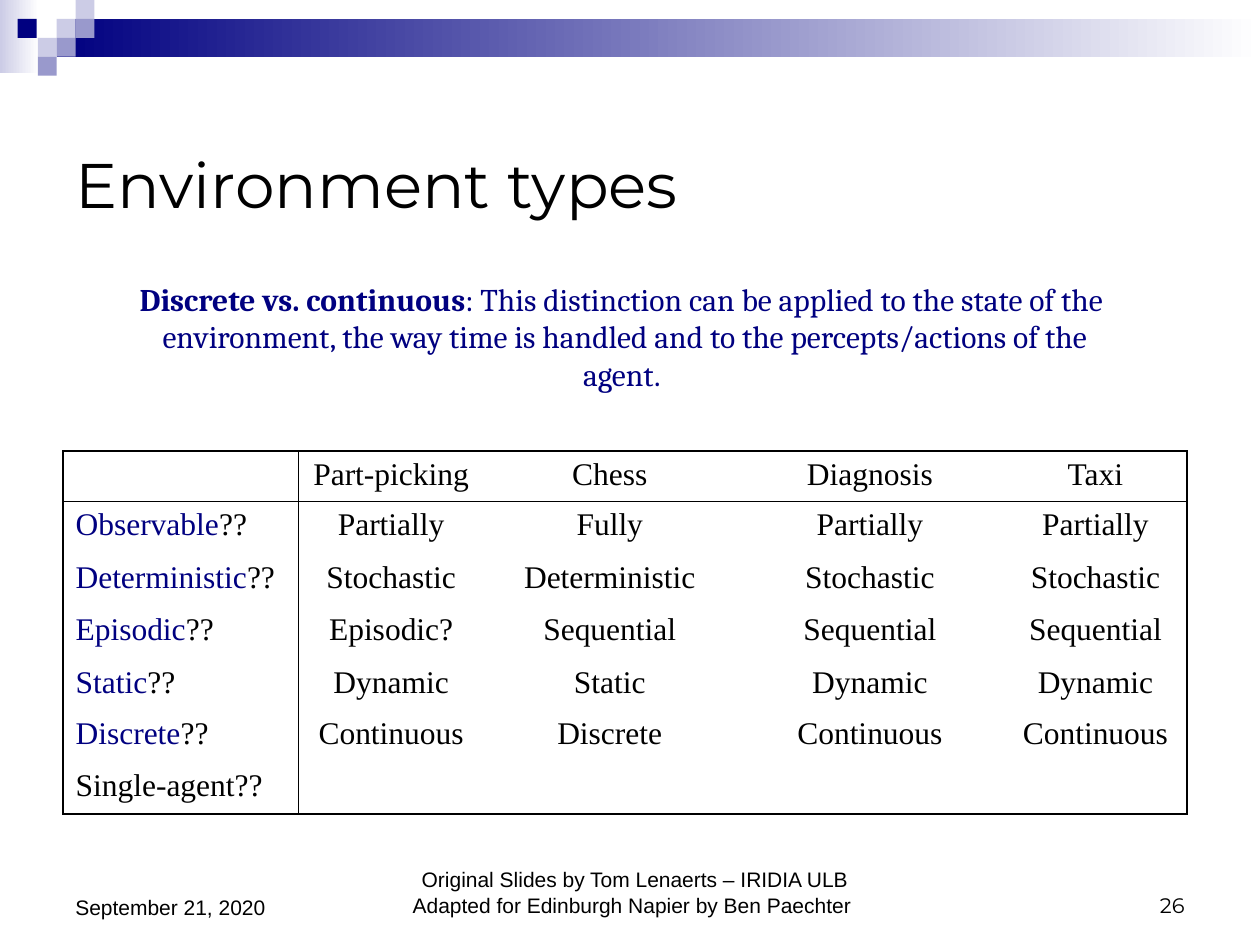
from lxml import etree
from pptx import Presentation
from pptx.dml.color import RGBColor
from pptx.enum import shapes, text
from pptx.oxml.ns import qn
from pptx.util import Inches, Pt

HUES = {"ink": "000000", "navy": "000080", "mid": "9999CC",
        "pale": "CCCCE6", "white": "FFFFFF"}
LEFT, MID, RIGHT = text.PP_ALIGN.LEFT, text.PP_ALIGN.CENTER, text.PP_ALIGN.RIGHT


def style(para, face, size, hue="ink", align=LEFT):
    """Set the font and alignment of a paragraph."""
    para.alignment = align
    para.font.name, para.font.size = face, Pt(size)
    para.font.color.rgb = RGBColor.from_string(HUES[hue])


def edge(cell, side, drawn):
    """Draw or clear one border of a table cell."""
    line = etree.SubElement(cell._tc.get_or_add_tcPr(), qn("a:" + side))
    line.set("w", str(Pt(1)))
    if drawn:
        fill = etree.SubElement(line, qn("a:solidFill"))
        etree.SubElement(fill, qn("a:srgbClr")).set("val", HUES["ink"])
    else:
        etree.SubElement(line, qn("a:noFill"))


prs = Presentation()
prs.slide_width, prs.slide_height = Inches(10), Inches(7.5)
slide = prs.slides.add_slide(prs.slide_layouts[5])

# Header band and squares: box, start colour, end colour of a gradient
side = 0.15
blocks = [((0, 0, 0.31, 0.58), "pale", "white"),
          ((0.45, 0.15, 9.55, 0.3), "navy", "white")]
for x, y, hue in [(0.45, 0.15, "pale"), (0.6, 0, "pale"), (0.6, 0.15, "mid"),
                  (0.3, 0.3, "pale"), (0.14, 0.15, "navy"),
                  (0.45, 0.3, "mid"), (0.3, 0.45, "mid")]:
    blocks.append(((x, y, side, side), hue, None))
for box, hue, end in blocks:
    block = slide.shapes.add_shape(shapes.MSO_SHAPE.RECTANGLE, *map(Inches, box))
    block.shadow.inherit = False
    block.line.fill.background()
    if end:
        block.fill.gradient()
        block.fill.gradient_angle = 0
        for stop, name, spot in zip(block.fill.gradient_stops, (hue, end), (0, 1)):
            stop.color.rgb = RGBColor.from_string(HUES[name])
            stop.position = spot
    else:
        block.fill.solid()
        block.fill.fore_color.rgb = RGBColor.from_string(HUES[hue])

# Title
title = slide.shapes.title
title.left, title.top, title.width, title.height = map(Inches, (0.5, 0.83, 9, 1.25))
title.text_frame.text = "Environment types"
title.text_frame.vertical_anchor = text.MSO_ANCHOR.MIDDLE
style(title.text_frame.paragraphs[0], "Montserrat", 36)

# Footer row
for box, words, face, align in [
        ((3.03, 6.83, 4.02, 0.5), "Original Slides by Tom Lenaerts – IRIDIA ULB\n"
         "Adapted for Edinburgh Napier by Ben Paechter ", "Arial", MID),
        ((7.17, 6.83, 2.33, 0.5), "26", "Montserrat", RIGHT),
        ((0.5, 6.83, 2.33, 0.52), "September 21, 2020", "Arial", LEFT)]:
    frame = slide.shapes.add_textbox(*map(Inches, box)).text_frame
    frame.word_wrap = True
    frame.vertical_anchor = text.MSO_ANCHOR.BOTTOM
    frame.text = words
    for para in frame.paragraphs:
        style(para, face, 12, align=align)

# Table of environment types
rows = [["", "Part-picking", "Chess", "Diagnosis", "Taxi"],
        ["Observable", "Partially", "Fully", "Partially", "Partially"],
        ["Deterministic", "Stochastic", "Deterministic", "Stochastic", "Stochastic"],
        ["Episodic", "Episodic?", "Sequential", "Sequential", "Sequential"],
        ["Static", "Dynamic", "Static", "Dynamic", "Dynamic"],
        ["Discrete", "Continuous", "Discrete", "Continuous", "Continuous"],
        ["Single-agent", "", "", "", ""]]
widths = [1.87, 1.47, 2, 2.13, 1.45]
heights = [0.4, 0.42, 0.41, 0.42, 0.41, 0.41, 0.41]
table = slide.shapes.add_table(
    len(rows), len(widths), Inches(0.5), Inches(3.58),
    Inches(sum(widths)), Inches(sum(heights))).table
table.first_row = table.horz_banding = False
for col, width in zip(table.columns, widths):
    col.width = Inches(width)
for row, height in zip(table.rows, heights):
    row.height = Inches(height)
last_row, last_col = len(rows) - 1, len(widths) - 1
for r, row in enumerate(rows):
    for c, word in enumerate(row):
        cell = table.cell(r, c)
        para = cell.text_frame.paragraphs[0]
        style(para, "Times New Roman", 18, align=MID if c else LEFT)
        if word:
            run = para.add_run()
            run.text = word
            if c == 0:
                if r < last_row:
                    run.font.color.rgb = RGBColor.from_string(HUES["navy"])
                para.add_run().text = "??"
        # Lines frame the table, its header row and its first column
        edge(cell, "lnL", c in (0, 1))
        edge(cell, "lnR", c in (0, last_col))
        edge(cell, "lnT", r in (0, 1))
        edge(cell, "lnB", r in (0, last_row))
        cell.fill.background()

# Definition
frame = slide.shapes.add_textbox(*map(Inches, (0.93, 2.17, 8.06, 0.7))).text_frame
frame.word_wrap = True
first, second = frame.paragraphs[0], frame.add_paragraph()
term = first.add_run()
term.text, term.font.bold = "Discrete vs. continuous", True
first.add_run().text = ": This distinction can be applied to the state of the "
second.text = ("environment, the way time is handled and to the "
               "percepts/actions of the agent. ")
for para in (first, second):
    style(para, "Cambria", 18, "navy", MID)

prs.save("out.pptx")
